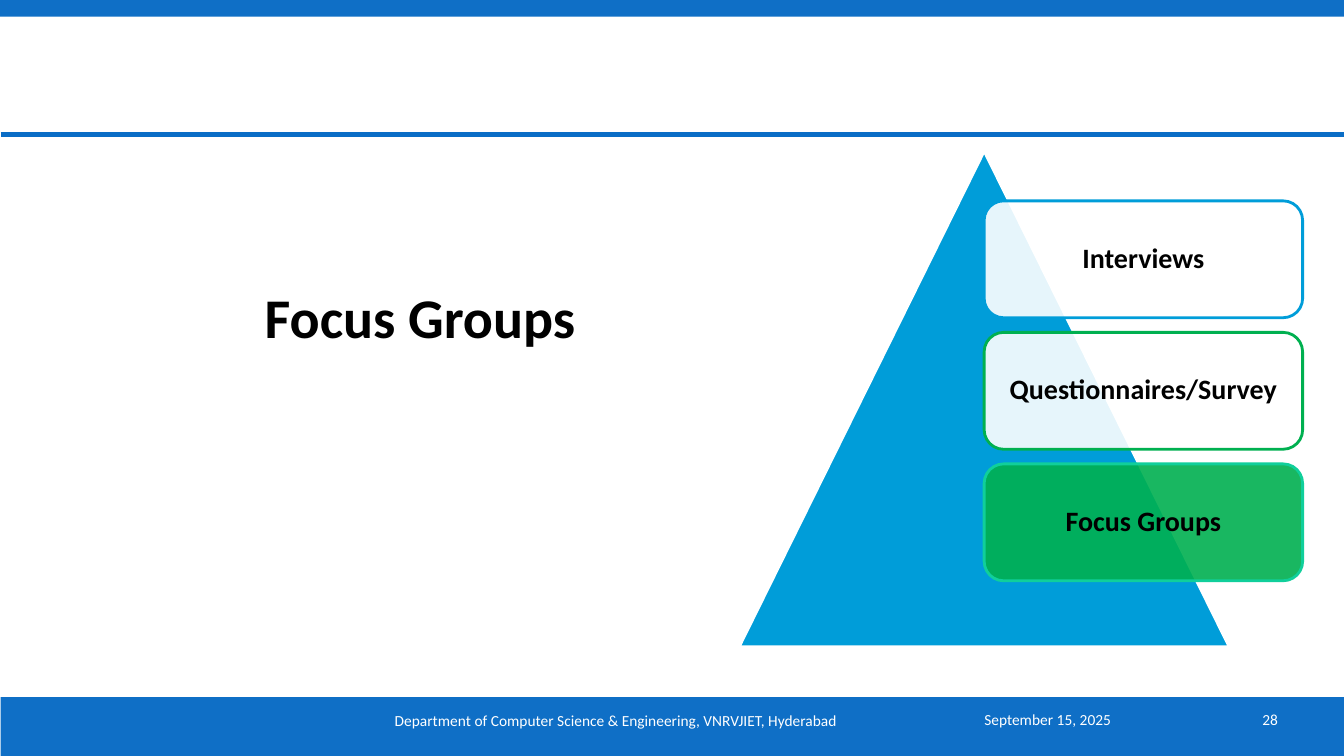
"""Build the Focus Groups slide with its pyramid of methods."""
from pptx import Presentation
from pptx.dml.color import RGBColor
from pptx.enum import shapes, text
from pptx.oxml import xmlchemy
from pptx.oxml.ns import qn
from pptx.util import Pt
from lxml import etree

FONT = "Calibri"
BLUE, SKY, GREEN, WHITE, BLACK = "0F6FC6", "009DD9", "00B050", "FFFFFF", "000000"
TITLE = "Focus Groups"
BARS = [(0.5, 498, 960, 42), (0, 0, 960, 12)]
RULE = (0.5, 96, 960, 96)
FOOTERS = [
    ("September 15, 2025", (696, 499, 136, 29), text.PP_ALIGN.LEFT),
    ("Department of Computer Science & Engineering, VNRVJIET, Hyderabad",
     (176, 500, 528, 29), text.PP_ALIGN.CENTER),
    ("28", (840, 499, 80, 29), text.PP_ALIGN.RIGHT),
]
PYRAMID = (528, 108, 350, 354)
METHODS = [("Interviews", WHITE, SKY), ("Questionnaires/Survey", WHITE, GREEN),
           ("Focus Groups", GREEN, "10CF9B")]
CARD_LEFT, CARD_TOP, CARD_WIDTH, CARD_HEIGHT = 703, 143.5, 227.5, 83.5
CARD_STEP = CARD_HEIGHT * 9 / 8
CARD_ALPHA = 90


def color(value):
    return RGBColor.from_string(value)


def points(values):
    return [Pt(value) for value in values]


def add_block(slide, kind, box, fill, line=None):
    shape = slide.shapes.add_shape(kind, *points(box))
    shape.shadow.inherit = False
    shape.fill.solid()
    shape.fill.fore_color.rgb = color(fill)
    if line:
        shape.line.color.rgb = color(line)
        shape.line.width = Pt(2)
    else:
        shape.line.fill.background()
    return shape


def write(shape, words, size, fill, align, bold=False):
    frame = shape.text_frame
    frame.text = words
    frame.word_wrap = True
    frame.vertical_anchor = text.MSO_ANCHOR.MIDDLE
    paragraph = frame.paragraphs[0]
    paragraph.alignment = align
    font = paragraph.runs[0].font
    font.name, font.size, font.bold = FONT, Pt(size), bold
    font.color.rgb = color(fill)
    return frame


def add_rule(slide):
    rule = slide.shapes.add_connector(shapes.MSO_CONNECTOR.STRAIGHT, *points(RULE))
    rule.line.color.rgb = color("0A6DC6")
    rule.line.width = Pt(4)
    etree.SubElement(rule._element.spPr, qn("a:effectLst"))


def add_card(slide, index, words, fill, line):
    box = (CARD_LEFT, CARD_TOP + index * CARD_STEP, CARD_WIDTH, CARD_HEIGHT)
    card = add_block(slide, shapes.MSO_SHAPE.ROUNDED_RECTANGLE, box, fill, line)
    fill_color = card._element.spPr.find(qn("a:solidFill")).find(qn("a:srgbClr"))
    etree.SubElement(fill_color, qn("a:alpha"), val=str(CARD_ALPHA * 1000))
    frame = write(card, words, 20, BLACK, text.PP_ALIGN.CENTER, True)
    frame.margin_left = frame.margin_right = Pt(10)
    frame.paragraphs[0].line_spacing = 0.9


def main():
    presentation = Presentation()
    presentation.slide_width, presentation.slide_height = Pt(960), Pt(540)
    slide = presentation.slides.add_slide(presentation.slide_layouts[5])

    for bar in BARS:
        add_block(slide, shapes.MSO_SHAPE.RECTANGLE, bar, BLUE)
    add_rule(slide)

    title = slide.shapes.title
    title.left, title.top, title.width, title.height = points((72, 168, 456, 116))
    write(title, TITLE, 40, BLACK, text.PP_ALIGN.CENTER, True)

    for words, box, align in FOOTERS:
        write(slide.shapes.add_textbox(*points(box)), words, 11, WHITE, align)

    add_block(slide, shapes.MSO_SHAPE.ISOSCELES_TRIANGLE, PYRAMID, SKY, WHITE)
    for index, method in enumerate(METHODS):
        add_card(slide, index, *method)

    presentation.save("out.pptx")


if __name__ == "__main__":
    main()
